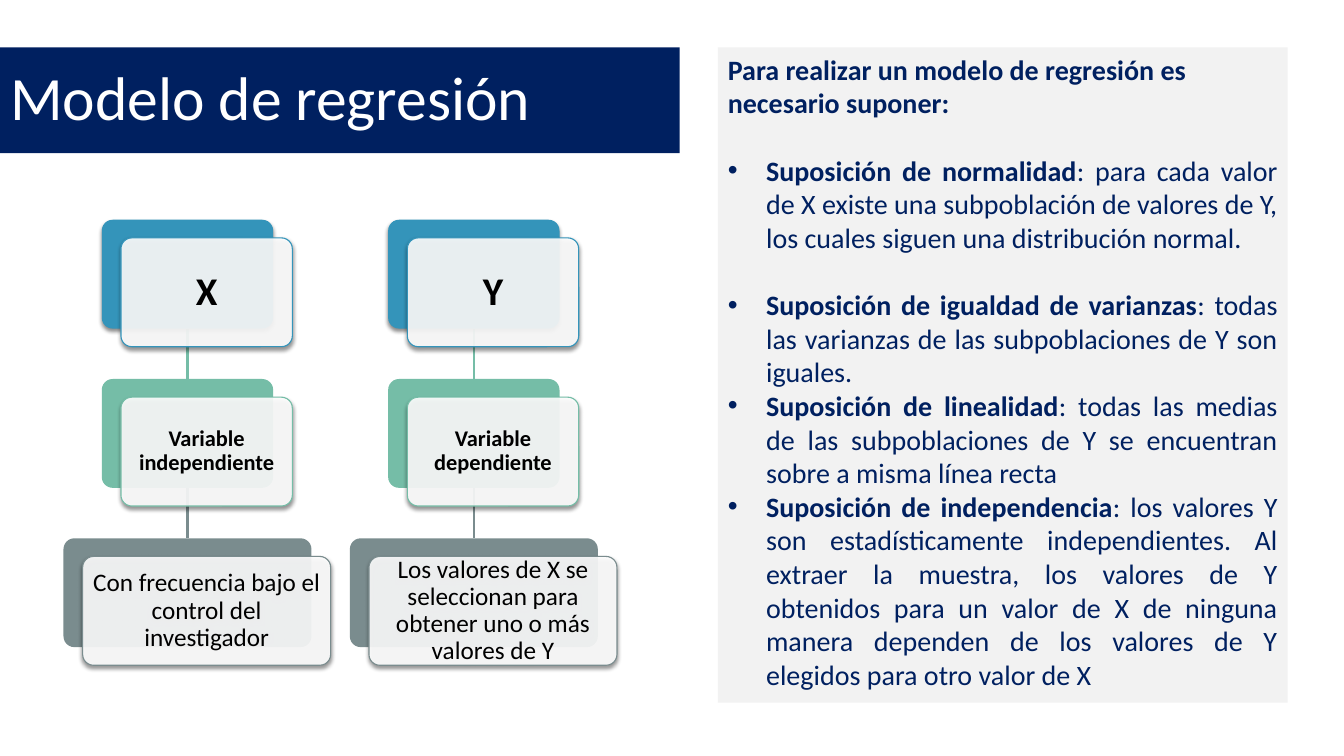
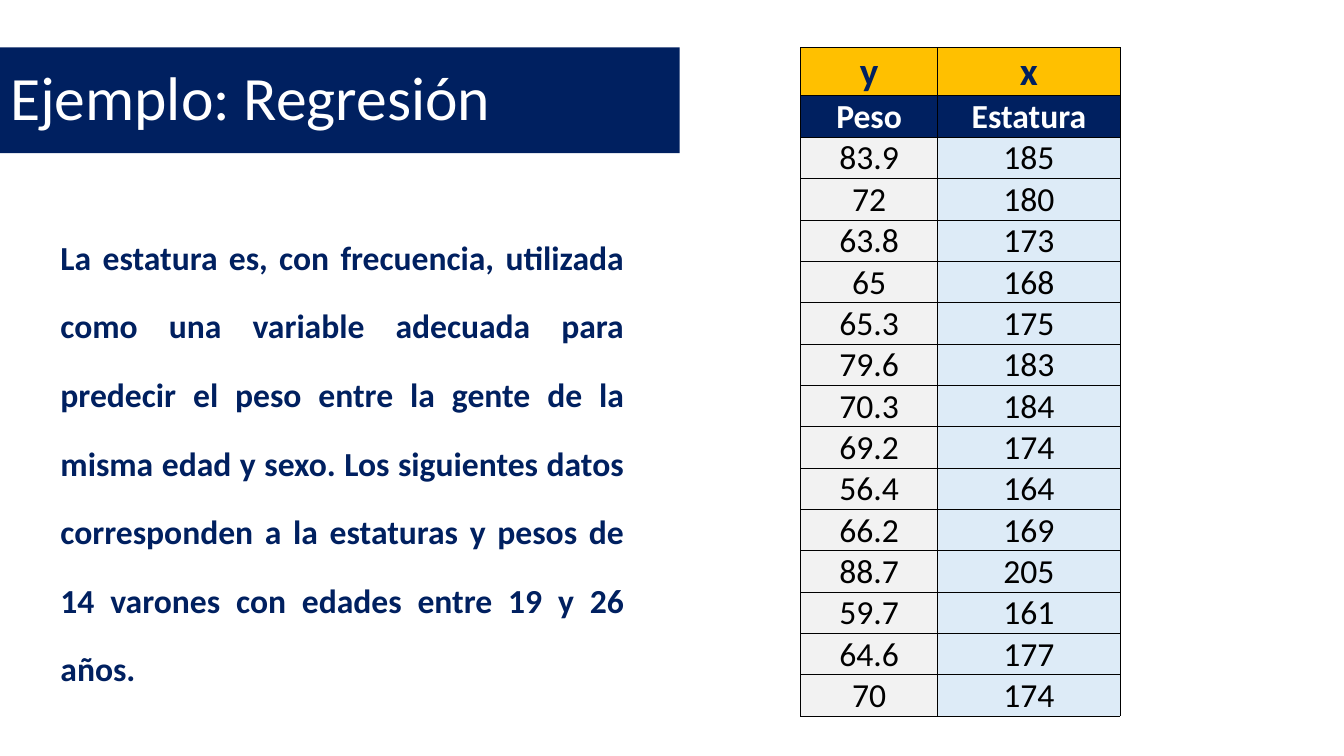
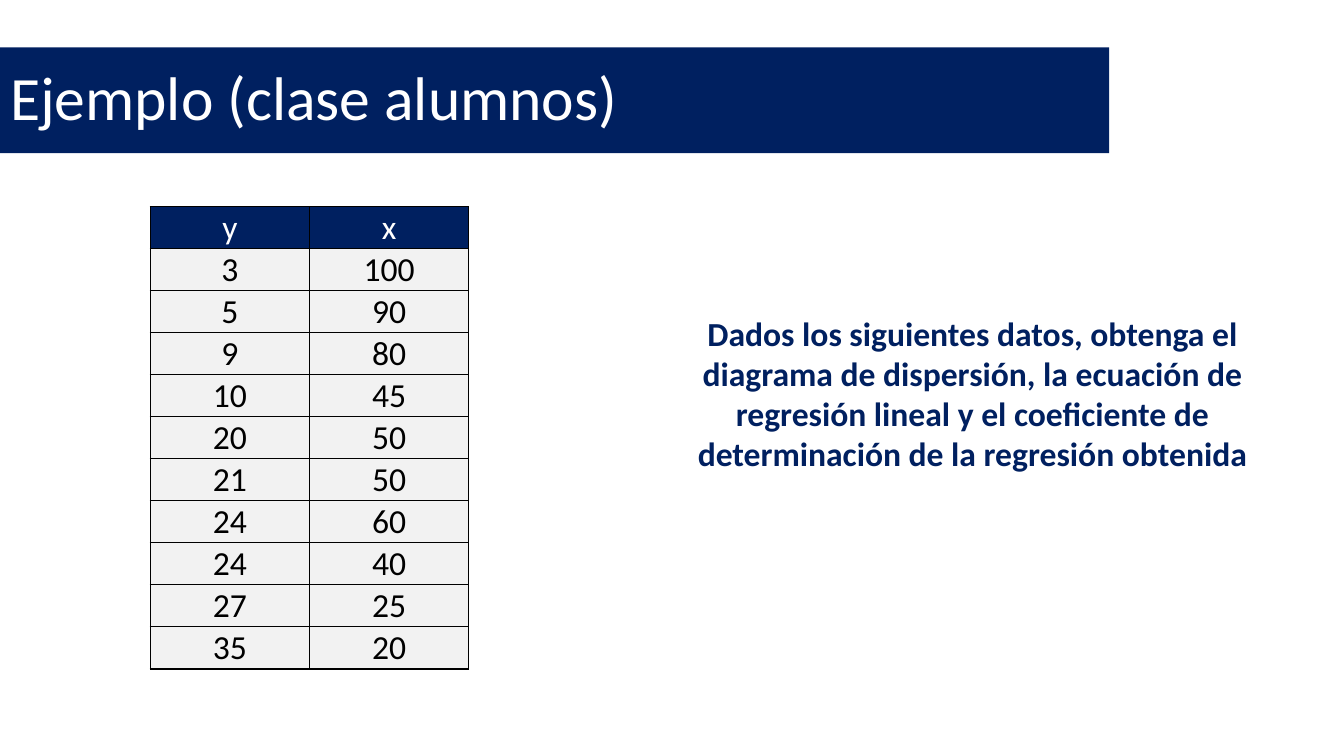
"""Build three slides on regression: the model, a worked example and a class exercise."""
from dataclasses import dataclass
from typing import Any

from lxml import etree
from pptx import Presentation
from pptx.dml.color import RGBColor
from pptx.enum.shapes import MSO_CONNECTOR, MSO_SHAPE
from pptx.enum.text import MSO_ANCHOR, MSO_AUTO_SIZE, PP_ALIGN
from pptx.oxml.ns import qn
from pptx.util import Inches, Pt

RECT, ROUND = MSO_SHAPE.RECTANGLE, MSO_SHAPE.ROUNDED_RECTANGLE
STRAIGHT = MSO_CONNECTOR.STRAIGHT
TOP, MIDDLE, BOTTOM = MSO_ANCHOR.TOP, MSO_ANCHOR.MIDDLE, MSO_ANCHOR.BOTTOM
LEFT, CENTER, JUSTIFY = PP_ALIGN.LEFT, PP_ALIGN.CENTER, PP_ALIGN.JUSTIFY
NO_AUTOFIT = MSO_AUTO_SIZE.NONE

FONT = "Calibri"
TITLE_ONLY = 5
COLORS = {
    "navy": "002060", "white": "FFFFFF", "black": "000000", "light": "F2F2F2",
    "gold": "FFC000", "sky": "DDEBF7", "blue": "3494BA", "green": "75BDA7",
    "gray": "7A8C8E",
}


@dataclass(frozen=True)
class Level:
    """One row of the variable hierarchy."""
    color: str
    width: float
    size: int
    bold: bool
    back_shadow: bool
    texts: tuple[str, str]


@dataclass(frozen=True)
class RowStyle:
    """Look of the cells in one table row."""
    fills: tuple[str, str]
    color: str
    size: int = 24
    bold: bool = False
    height: float = 0.41


@dataclass(frozen=True)
class Assumption:
    """A named supposition of the model and the space after it."""
    name: str
    text: str
    after: int = 0


LEVELS = (
    Level("blue", 1.7, 28, True, True, ("X", "Y")),
    Level("green", 1.7, 16, True, False,
          ("Variable independiente", "Variable dependiente")),
    Level("gray", 2.46, 18, False, False,
          ("Con frecuencia bajo el control del investigador",
           "Los valores de X se seleccionan para obtener uno o más valores de Y")),
)
ASSUMPTIONS = (
    Assumption("Suposición de normalidad",
               ": para cada valor de X existe una subpoblación de valores de Y, "
               "los cuales siguen una distribución normal.", 24),
    Assumption("Suposición de igualdad de varianzas",
               ": todas las varianzas de las subpoblaciones de Y son iguales."),
    Assumption("Suposición de linealidad",
               ": todas las medias de las subpoblaciones de Y se encuentran "
               "sobre a misma línea recta"),
    Assumption("Suposición de independencia",
               ": los valores Y son estadísticamente independientes. Al extraer la "
               "muestra, los valores de Y obtenidos para un valor de X de ninguna "
               "manera dependen de los valores de Y elegidos para otro valor de X"),
)
WEIGHTS = (83.9, 72, 63.8, 65, 65.3, 79.6, 70.3, 69.2, 56.4, 66.2, 88.7, 59.7, 64.6, 70)
HEIGHTS = (185, 180, 173, 168, 175, 183, 184, 174, 164, 169, 205, 161, 177, 174)
CLASS_Y = (3, 5, 9, 10, 20, 21, 24, 24, 27, 35)
CLASS_X = (100, 90, 80, 45, 50, 50, 60, 40, 25, 20)

HEADER = RowStyle(("navy", "navy"), "white")
BOLD_HEADER = RowStyle(("navy", "navy"), "white", bold=True)
SYMBOLS = RowStyle(("gold", "gold"), "navy", 28, True, 0.48)
PLAIN = RowStyle(("light", "light"), "black")
TWO_TONE = RowStyle(("light", "sky"), "black")

TREE_TOP, TREE_LEFT = 2.18, 1.86
LEVEL_STEP, COLUMN_STEP = 1.58, 2.84
CARD_HEIGHT, SHIFT_X, SHIFT_Y = 1.08, 0.19, 0.18


def rgb(name: str) -> RGBColor:
    """Return a palette colour."""
    return RGBColor.from_string(COLORS[name])


def box(*lengths: float) -> tuple:
    """Convert lengths in inches."""
    return tuple(Inches(v) for v in lengths)


def set_format(obj: Any, **values: Any) -> None:
    """Set each format value on an object."""
    for name, value in values.items():
        setattr(obj, name, value)


def set_margins(obj: Any, left: float, top: float, right: float, bottom: float) -> None:
    """Set the inner margins of a text frame or cell."""
    set_format(obj, margin_left=Inches(left), margin_top=Inches(top),
               margin_right=Inches(right), margin_bottom=Inches(bottom))


def add_run(p: Any, text: str, size: int, color: str, bold: bool = False) -> None:
    """Append a formatted run to a paragraph."""
    r = p.add_run()
    r.text = text
    set_format(r.font, name=FONT, size=Pt(size), bold=bold)
    r.font.color.rgb = rgb(color)


def add_title(slide: Any, text: str, width: float) -> None:
    """Turn the title placeholder into a navy band."""
    sp = slide.shapes.title
    left, top, w, h = box(0, 0.47, width, 1.05)
    set_format(sp, left=left, top=top, width=w, height=h)
    sp.fill.solid()
    sp.fill.fore_color.rgb = rgb("navy")
    tf = sp.text_frame
    set_format(tf, vertical_anchor=MIDDLE, word_wrap=True, auto_size=NO_AUTOFIT)
    p = tf.paragraphs[0]
    set_format(p, alignment=LEFT, line_spacing=0.9)
    add_run(p, text, 44, "white")


def add_text(slide: Any, at: tuple, text: str, **paragraph: Any) -> Any:
    """Add a bold navy text box and return its frame."""
    tf = slide.shapes.add_textbox(*box(*at)).text_frame
    tf.word_wrap = True
    p = tf.paragraphs[0]
    set_format(p, **paragraph)
    add_run(p, text, 24, "navy", True)
    return tf


def add_panel(slide: Any, kind: Any, at: tuple, fill: str, line: str = "") -> Any:
    """Add a flat filled shape, outlined when a line colour is given."""
    sp = slide.shapes.add_shape(kind, *box(*at))
    sp.shadow.inherit = False
    sp.fill.solid()
    sp.fill.fore_color.rgb = rgb(fill)
    if line:
        sp.line.color.rgb = rgb(line)
        sp.line.width = Pt(0.79)
    else:
        sp.line.fill.background()
    if kind == ROUND:
        sp.adjustments[0] = 0.1
    return sp


def add_shadow(sp: Any) -> None:
    """Give a shape a soft shadow below it."""
    effects = sp._element.spPr.find(qn("a:effectLst"))
    shadow = etree.SubElement(effects, qn("a:outerShdw"), blurRad=str(Pt(3)),
                              dist=str(Pt(2)), dir="5400000", rotWithShape="0")
    color = etree.SubElement(shadow, qn("a:srgbClr"), val=COLORS["black"])
    etree.SubElement(color, qn("a:alpha"), val="45000")


def add_link(slide: Any, x: float, top: float, bottom: float, color: str) -> None:
    """Add a vertical line between two levels."""
    cn = slide.shapes.add_connector(STRAIGHT, *box(x, top, x, bottom))
    cn.line.color.rgb = rgb(color)
    cn.line.width = Pt(1.5)
    etree.SubElement(cn._element.spPr, qn("a:effectLst"))


def add_card(slide: Any, level: Level, center: float, top: float, text: str) -> None:
    """Add a coloured card with a translucent text card over it."""
    left = center - level.width / 2
    size = (level.width, CARD_HEIGHT)
    back = add_panel(slide, ROUND, (left, top, *size), level.color)
    if level.back_shadow:
        add_shadow(back)
    sp = add_panel(slide, ROUND, (left + SHIFT_X, top + SHIFT_Y, *size),
                   "white", level.color)
    add_shadow(sp)
    fill = sp._element.spPr.find(qn("a:solidFill"))
    etree.SubElement(fill[0], qn("a:alpha"), val="90000")
    tf = sp.text_frame
    set_format(tf, word_wrap=True, vertical_anchor=MIDDLE)
    set_margins(tf, 0.07, 0.07, 0.07, 0.07)
    p = tf.paragraphs[0]
    set_format(p, alignment=CENTER, line_spacing=0.9)
    add_run(p, text, level.size, "black", level.bold)


def add_tree(slide: Any) -> None:
    """Draw one column of linked cards for each variable."""
    tops = [TREE_TOP + i * LEVEL_STEP for i in range(len(LEVELS))]
    for col in range(2):
        center = TREE_LEFT + col * COLUMN_STEP
        for level, above, top in zip(LEVELS[1:], tops, tops[1:]):
            add_link(slide, center, above + CARD_HEIGHT, top, level.color)
        for level, top in zip(LEVELS, tops):
            add_card(slide, level, center, top, level.texts[col])


def add_assumptions(slide: Any) -> None:
    """Add the panel that lists the suppositions."""
    tf = add_panel(slide, RECT, (7.12, 0.47, 5.65, 6.5), "light").text_frame
    set_format(tf, word_wrap=True, vertical_anchor=TOP)
    p = tf.paragraphs[0]
    set_format(p, alignment=LEFT, space_after=Pt(24))
    add_run(p, "Para realizar un modelo de regresión es necesario suponer:",
            20, "navy", True)
    for item in ASSUMPTIONS:
        p = tf.add_paragraph()
        set_format(p, alignment=JUSTIFY, space_after=Pt(item.after))
        add_run(p, item.name, 20, "navy", True)
        add_run(p, item.text, 20, "navy")
        pPr = p._p.get_or_add_pPr()
        pPr.set("marL", str(Inches(0.38)))
        pPr.set("indent", str(-Inches(0.38)))
        etree.SubElement(pPr, qn("a:buFont"), typeface="Arial")
        etree.SubElement(pPr, qn("a:buChar"), char="•")


def add_borders(cell: Any, width: float) -> None:
    """Put a black line on the four sides of a cell."""
    tcPr = cell._tc.get_or_add_tcPr()
    for i, side in enumerate(("a:lnL", "a:lnR", "a:lnT", "a:lnB")):
        ln = etree.Element(qn(side), w=str(Pt(width)))
        fill = etree.SubElement(ln, qn("a:solidFill"))
        etree.SubElement(fill, qn("a:srgbClr"), val=COLORS["black"])
        tcPr.insert(i, ln)


def add_data_table(slide: Any, left: float, top: float, widths: tuple,
                   rows: list, border: float) -> None:
    """Add a table from pairs of row style and values."""
    height = sum(style.height for style, _ in rows)
    table = slide.shapes.add_table(
        len(rows), len(widths), *box(left, top, sum(widths), height)).table
    set_format(table, first_row=False, horz_banding=False)
    for column, width in zip(table.columns, widths):
        column.width = Inches(width)
    for row, (style, values) in zip(table.rows, rows):
        row.height = Inches(style.height)
        for cell, value, fill in zip(row.cells, values, style.fills):
            cell.vertical_anchor = MIDDLE if style is SYMBOLS else BOTTOM
            set_margins(cell, 0.01, 0.01, 0.01, 0)
            cell.fill.solid()
            cell.fill.fore_color.rgb = rgb(fill)
            add_borders(cell, border)
            p = cell.text_frame.paragraphs[0]
            p.alignment = CENTER
            add_run(p, str(value), style.size, style.color, style.bold)


def build_model(slide: Any) -> None:
    """Fill the slide on the regression model."""
    add_title(slide, "Modelo de regresión", 6.74)
    add_tree(slide)
    add_assumptions(slide)


def build_example(slide: Any) -> None:
    """Fill the slide on weight and height."""
    add_title(slide, "Ejemplo: Regresión", 6.74)
    tf = add_text(
        slide, (0.45, 2.02, 5.84, 5.08),
        "La estatura es, con frecuencia, utilizada como una variable adecuada para "
        "predecir el peso entre la gente de la misma edad y sexo. Los siguientes "
        "datos corresponden a la estaturas y pesos de 14 varones con edades entre "
        "19 y 26 años.",
        alignment=JUSTIFY, line_spacing=1.7, space_before=Pt(14))
    tf.margin_left = Inches(0.15)
    rows = [(SYMBOLS, ("y", "x")), (BOLD_HEADER, ("Peso", "Estatura"))]
    rows += [(TWO_TONE, pair) for pair in zip(WEIGHTS, HEIGHTS)]
    add_data_table(slide, 7.94, 0.47, (1.36, 1.81), rows, 0.5)


def build_exercise(slide: Any) -> None:
    """Fill the slide with the class exercise."""
    add_title(slide, "Ejemplo (clase alumnos)", 11)
    rows = [(HEADER, ("y", "x"))]
    rows += [(PLAIN, pair) for pair in zip(CLASS_Y, CLASS_X)]
    add_data_table(slide, 1.49, 2.05, (1.58, 1.58), rows, 1)
    add_text(
        slide, (6.54, 3.05, 6.21, 1.72),
        "Dados los siguientes datos, obtenga el diagrama de dispersión, la ecuación "
        "de regresión lineal y el coeficiente de determinación de la regresión "
        "obtenida", alignment=CENTER)


def main() -> None:
    """Build and save the presentation."""
    prs = Presentation()
    set_format(prs, slide_width=Inches(13.33), slide_height=Inches(7.5))
    for build in (build_model, build_example, build_exercise):
        build(prs.slides.add_slide(prs.slide_layouts[TITLE_ONLY]))
    prs.save("out.pptx")


if __name__ == "__main__":
    main()
